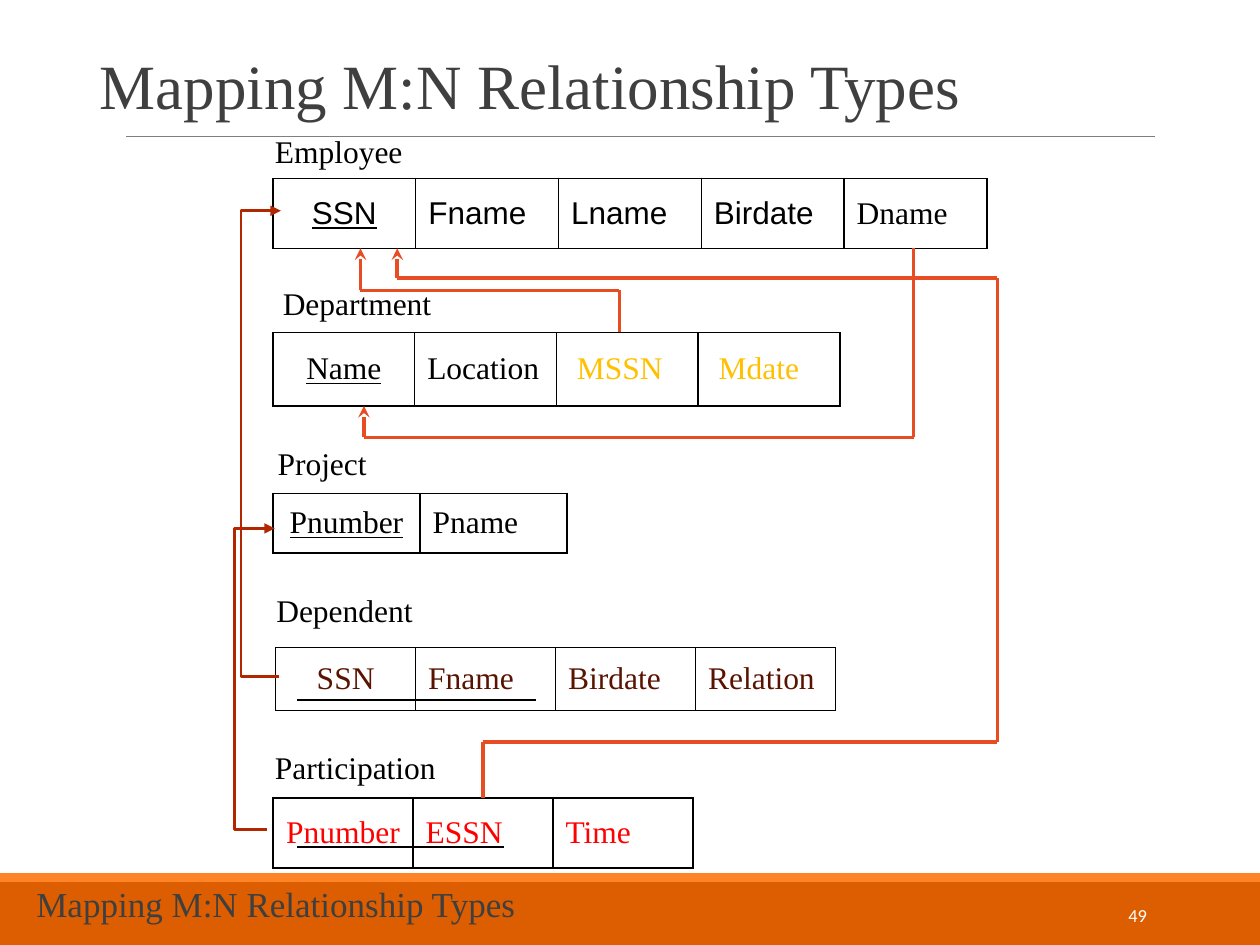
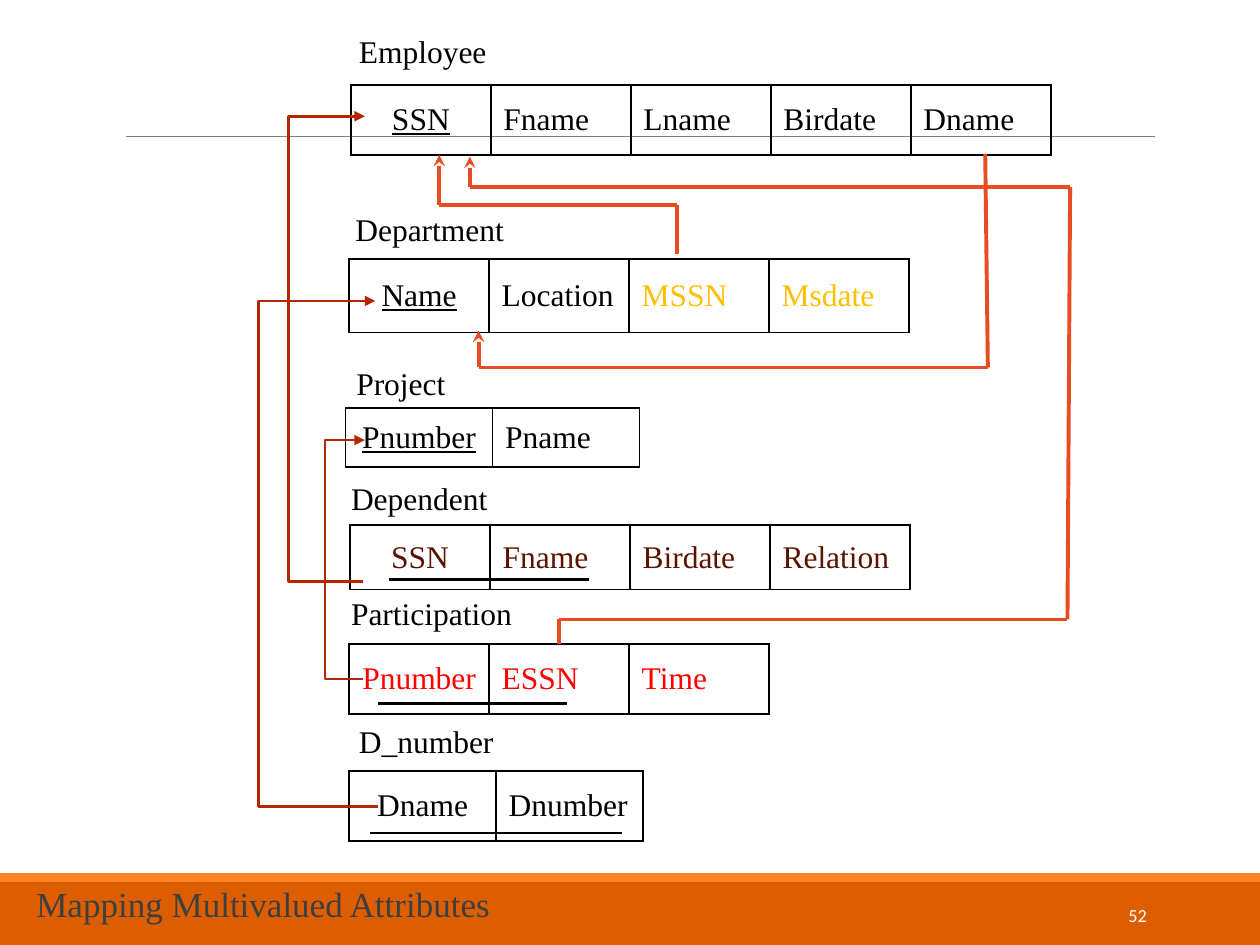
"""Build two slides that map relationship types to linked relation schemas."""
from dataclasses import dataclass

from lxml import etree
from pptx import Presentation, util as u
from pptx.dml.color import RGBColor
from pptx.enum import shapes, text
from pptx.oxml import ns


@dataclass(frozen=True)
class Theme:
    """Colours, fonts and type sizes shared by the slides."""
    ink: str = "000000"
    heading: str = "3F3F3F"
    rule: str = "7F7F7F"
    band: str = "DC5E00"
    stripe: str = "FF8427"
    white: str = "FFFFFF"
    link: str = "E84C22"
    elbow: str = "B22600"
    weak: str = "591300"
    added: str = "FF0000"
    foreign: str = "FFC000"
    serif: str = "Times New Roman"
    sans: str = "Arial"
    number_font: str = "Calibri"
    title_size: float = 36
    footer_size: float = 20
    body_size: float = 18
    number_size: float = 10.5


T = Theme()
FOREIGN_FIELDS = {"MSSN", "Mdate", "Msdate"}


def pts(*values):
    """Convert numbers to lengths in points."""
    return [u.Pt(v) for v in values]


def write(tf, content, size=T.body_size, color=T.ink, font=T.serif,
          underline=False, align=text.PP_ALIGN.LEFT, spacing=None):
    """Write one formatted paragraph into a text frame."""
    p = tf.paragraphs[0]
    p.alignment = align
    if spacing:
        p.line_spacing = spacing
    r = p.add_run()
    r.text = content
    r.font.size = u.Pt(size)
    r.font.name = font
    r.font.color.rgb = RGBColor.from_string(color)
    r.font.underline = underline


def add_text(s, box, content, inset=3.6, anchor=text.MSO_ANCHOR.TOP, **fmt):
    """Add a wrapped text box."""
    tf = s.shapes.add_textbox(*pts(*box)).text_frame
    tf.word_wrap = True
    tf.vertical_anchor = anchor
    tf.margin_top = tf.margin_bottom = u.Pt(inset)
    write(tf, content, **fmt)


def add_band(s, box, color):
    """Add a plain filled rectangle."""
    sp = s.shapes.add_shape(shapes.MSO_SHAPE.RECTANGLE, *pts(*box))
    sp.shadow.inherit = False
    sp.fill.solid()
    sp.fill.fore_color.rgb = RGBColor.from_string(color)
    sp.line.fill.background()


def add_line(s, start, end, color, width, head=None,
             kind=shapes.MSO_CONNECTOR.STRAIGHT):
    """Add a connector, with an arrowhead at its end if asked."""
    cx = s.shapes.add_connector(kind, *pts(*start, *end))
    cx.line.color.rgb = RGBColor.from_string(color)
    cx.line.width = u.Pt(width)
    if head:
        etree.SubElement(cx.line._get_or_add_ln(), ns.qn("a:tailEnd"), type=head)
    etree.SubElement(cx._element.spPr, ns.qn("a:effectLst"))
    return cx


def add_route(s, *points):
    """Join points by straight segments that end in an arrow."""
    last = len(points) - 2
    for i, (start, end) in enumerate(zip(points, points[1:])):
        add_line(s, start, end, T.link, 2.25, "stealth" if i == last else None)


def add_elbow(s, start, via_x, end):
    """Add an elbow arrow whose upright part stands at via_x."""
    cx = add_line(s, start, end, T.elbow, 1.5, "triangle",
                  shapes.MSO_CONNECTOR.ELBOW)
    bend = round((via_x - start[0]) / (end[0] - start[0]) * 100000)
    guides = cx._element.spPr.find(ns.qn("a:prstGeom")).get_or_add_avLst()
    etree.SubElement(guides, ns.qn("a:gd"), name="adj1", fmla=f"val {bend}")


def add_key_line(s, left, right, y):
    """Underline a key that spans several fields."""
    add_line(s, (left, y), (right, y), T.ink, 1.5)


def set_borders(cell):
    """Draw a thin border round a cell."""
    tc_pr = cell._tc.get_or_add_tcPr()
    for side in ("lnL", "lnR", "lnT", "lnB"):
        ln = etree.SubElement(tc_pr, ns.qn(f"a:{side}"), w=str(u.Pt(1)))
        fill = etree.SubElement(ln, ns.qn("a:solidFill"))
        etree.SubElement(fill, ns.qn("a:srgbClr"), val=T.ink)


def add_relation(s, name, name_at, table_at, col_width, height, fields,
                 color=T.ink, key=False, sans_count=0):
    """Add a relation: its name and a one-row table of fields."""
    add_text(s, (*name_at, 112, 28.8), name)
    box = pts(*table_at, col_width * len(fields), height)
    table = s.shapes.add_table(1, len(fields), *box).table
    table.first_row = table.horz_banding = False
    for i, field in enumerate(fields):
        table.columns[i].width = u.Pt(col_width)
        cell = table.cell(0, i)
        cell.vertical_anchor = text.MSO_ANCHOR.MIDDLE
        set_borders(cell)
        cell.fill.background()
        write(cell.text_frame, field,
              color=T.foreign if field.strip() in FOREIGN_FIELDS else color,
              font=T.sans if i < sans_count else T.serif,
              underline=key and i == 0,
              align=text.PP_ALIGN.LEFT if i else text.PP_ALIGN.CENTER)


def add_slide(prs, footer, number):
    """Add a blank slide with the shared rule, bands and footer."""
    s = prs.slides.add_slide(prs.slide_layouts[6])
    add_line(s, (72, 78), (660, 78), T.rule, 0.75)
    add_band(s, (0, 504, 720, 36), T.band)
    add_band(s, (0, 499, 720, 5), T.stripe)
    add_text(s, (584.6, 508.5, 77.8, 28.8), number, anchor=text.MSO_ANCHOR.MIDDLE,
             size=T.number_size, color=T.white, font=T.number_font,
             align=text.PP_ALIGN.RIGHT)
    add_text(s, (13.7, 504.7, 594, 31), footer, size=T.footer_size,
             color=T.heading, spacing=0.85)
    return s


def add_relationship_slide(prs):
    """Build the slide on M:N relationship types."""
    title = "Mapping M:N Relationship Types"
    s = add_slide(prs, title, "49")
    add_text(s, (50, 26, 670, 52), title, inset=7.2, size=T.title_size,
             color=T.heading, spacing=0.85)
    add_relation(s, "Employee", (150, 72), (156, 102), 81.6, 40,
                 ["SSN", "Fname", "Lname", "Birdate", "Dname"],
                 key=True, sans_count=4)
    add_relation(s, "Department", (154.5, 159), (156, 190), 81, 42,
                 ["Name", "Location", " MSSN", " Mdate"], key=True)
    add_relation(s, "Project", (151.5, 250), (156, 282), 84, 34,
                 ["Pnumber", "Pname"], key=True)
    add_relation(s, "Dependent", (150.8, 334), (157.5, 370), 80, 36,
                 ["SSN", "Fname", "Birdate", "Relation"], color=T.weak)
    add_relation(s, "Participation", (150, 424), (156, 456), 80, 40,
                 ["Pnumber", "ESSN", "Time"], color=T.added)
    add_key_line(s, 170, 306, 400)
    add_key_line(s, 170, 288, 484)
    add_route(s, (354, 190), (354, 166), (206, 166), (206, 142))
    add_route(s, (522, 142), (522, 250), (208, 250), (208, 232))
    add_route(s, (276, 456), (276, 424), (570, 424), (570, 159),
              (227, 159), (227, 142))
    add_elbow(s, (159.5, 386.5), 137.5, (160.5, 120.5))
    add_elbow(s, (152.5, 474), 134, (157, 302))


def add_multivalued_slide(prs):
    """Build the slide on multivalued attributes."""
    s = add_slide(prs, "Mapping Multivalued Attributes", "52")
    add_relation(s, "Employee", (198, 15), (200.5, 48.5), 80, 40,
                 ["SSN", "Fname", "Lname", "Birdate", "Dname"], key=True)
    add_relation(s, "Department", (196, 116.5), (199.5, 148), 80, 42,
                 ["Name", "Location", "MSSN", "Msdate"], key=True)
    add_relation(s, "Project", (196.5, 204.5), (197.5, 233), 84, 34,
                 ["Pnumber", "Pname"], key=True)
    add_relation(s, "Dependent", (193.5, 270), (200, 300), 80, 37,
                 ["SSN", "Fname", "Birdate", "Relation"], color=T.weak)
    add_relation(s, "Participation", (193.5, 336), (199.5, 368), 80, 40,
                 ["Pnumber", "ESSN", "Time"], color=T.added)
    add_relation(s, "D_number", (198, 409), (199.5, 440.5), 84, 40,
                 ["Dname", "Dnumber"])
    add_key_line(s, 222.5, 336.5, 331)
    add_key_line(s, 216, 324, 402)
    add_key_line(s, 211.5, 355.5, 476)
    add_route(s, (387, 145), (387, 117), (251, 117), (251, 88.5))
    add_route(s, (319.5, 368), (319.5, 354), (610, 354), (611.5, 107),
              (268.5, 107), (268.5, 89.5))
    add_route(s, (563, 88), (564.5, 210), (273.5, 210), (273.5, 189))
    add_elbow(s, (207.5, 332.5), 164.5, (208.5, 66.5))
    add_elbow(s, (207.5, 388), 185.5, (208.5, 251.5))
    add_elbow(s, (216, 461), 148, (214.5, 172))


def main():
    """Build and save the presentation."""
    prs = Presentation()
    prs.slide_width, prs.slide_height = pts(720, 540)
    add_relationship_slide(prs)
    add_multivalued_slide(prs)
    prs.save("out.pptx")


if __name__ == "__main__":
    main()
